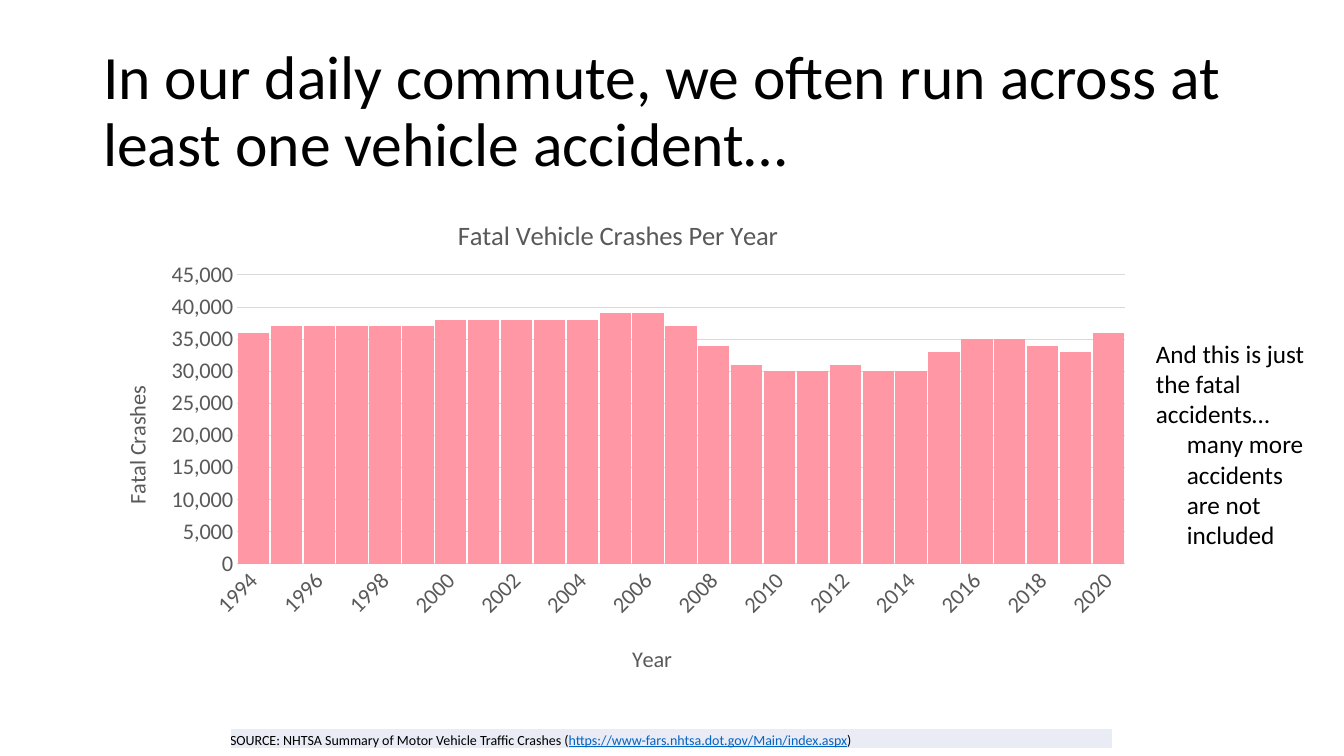
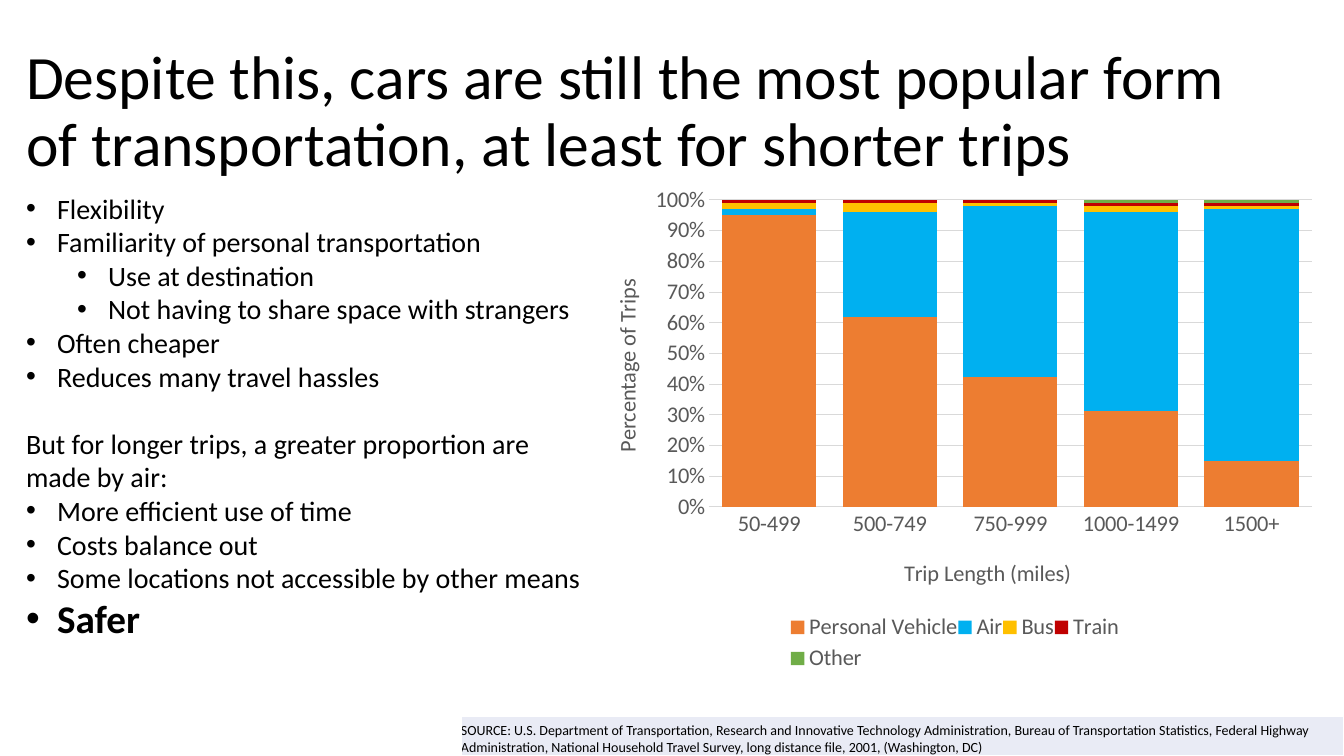
from dataclasses import dataclass
from typing import NamedTuple, Optional

from lxml.etree import SubElement
from pptx import Presentation
from pptx.chart.data import CategoryChartData
from pptx.dml.color import RGBColor
from pptx.enum.chart import XL_CHART_TYPE, XL_LEGEND_POSITION, XL_TICK_MARK
from pptx.enum.text import MSO_ANCHOR, MSO_AUTO_SIZE, PP_ALIGN
from pptx.oxml import parse_xml
from pptx.oxml.ns import nsdecls, qn
from pptx.util import Emu, Pt

# Shared style
FONT = "Calibri"
COLORS = {
    "text": "000000", "axis": "595959", "grid": "D9D9D9", "link": "0563C1",
    "source": "E9EBF5", "border": "FFFFFF", "crashes": "FF97A5",
    "vehicle": "ED7D31", "air": "00B0F0", "bus": "FFC000",
    "train": "C00000", "other": "70AD47",
}
TITLE_ONLY, TITLE_AND_BODY = 5, 1
INDENT, NESTED_INDENT = 31, 82
SOURCE_WIDTH = 883


class Box(NamedTuple):
    left: int
    top: int
    width: int
    height: int


class Point(NamedTuple):
    left: int
    top: int


class Series(NamedTuple):
    name: str
    values: list[int]
    color: str


class Item(NamedTuple):
    text: str
    level: int = 0
    bullet: bool = True
    size: int = 20
    bold: bool = False
    before: int = 0


class Span(NamedTuple):
    text: str
    link: bool = False


@dataclass
class ColumnChart:
    kind: XL_CHART_TYPE
    box: Box
    plot: Box
    categories: list[str]
    series: list[Series]
    category_title: str
    category_title_at: Point
    value_title: str
    value_title_at: Point
    number_format: str
    maximum: float
    step: float
    gap: int
    overlap: int
    title: str = ""
    title_at: Optional[Point] = None
    legend: Optional[Box] = None
    slanted: bool = False


def px(length: float) -> Emu:
    return Emu(round(length * 914400 / 100.8))


def color(name: str) -> RGBColor:
    return RGBColor.from_string(COLORS[name])


def style(font, size: float, tint: str = "text", bold: bool = False) -> None:
    font.name, font.size, font.bold = FONT, Pt(size), bold
    font.color.rgb = color(tint)


def place(shape, box: Box) -> None:
    shape.left, shape.top, shape.width, shape.height = map(px, box)


def indent(paragraph, margin: int, hanging: int = 0) -> None:
    properties = paragraph._p.get_or_add_pPr()
    properties.set("marL", str(px(margin)))
    properties.set("indent", str(-px(hanging)))


# Text
def set_title(page, text: str, box: Box) -> None:
    title = page.shapes.title
    place(title, box)
    frame = title.text_frame
    frame.text = text
    frame.auto_size = MSO_AUTO_SIZE.NONE
    frame.vertical_anchor = MSO_ANCHOR.MIDDLE
    paragraph = frame.paragraphs[0]
    paragraph.alignment = PP_ALIGN.LEFT
    paragraph.line_spacing = 0.9
    style(paragraph.font, 44)


def set_list(page, items: list[Item], box: Box) -> None:
    body = page.placeholders[1]
    place(body, box)
    frame = body.text_frame
    frame.auto_size = MSO_AUTO_SIZE.NONE
    for index, item in enumerate(items):
        paragraph = frame.add_paragraph() if index else frame.paragraphs[0]
        paragraph.text = item.text
        paragraph.level = item.level
        paragraph.space_before = Pt(item.before)
        properties = paragraph._p.get_or_add_pPr()
        if item.bullet:
            indent(paragraph, NESTED_INDENT if item.level else INDENT, INDENT)
            SubElement(properties, qn("a:buFont")).set("typeface", "Arial")
            SubElement(properties, qn("a:buChar")).set("char", "•")
        else:
            indent(paragraph, 0)
            SubElement(properties, qn("a:buNone"))
        style(paragraph.font, item.size, bold=item.bold)


def add_note(page, lead: str, follow: str, box: Box) -> None:
    frame = page.shapes.add_textbox(*map(px, box)).text_frame
    frame.word_wrap = True
    frame.text = lead
    second = frame.add_paragraph()
    second.text = follow
    indent(second, INDENT)
    for paragraph in frame.paragraphs:
        style(paragraph.font, 18)


def add_source(page, spans: list[Span], at: Point, height: int) -> None:
    box = Box(at.left, at.top, SOURCE_WIDTH, height)
    table = page.shapes.add_table(1, 1, *map(px, box)).table
    table.first_row = table.horz_banding = False
    cell = table.cell(0, 0)
    cell.margin_left = cell.margin_right = cell.margin_top = cell.margin_bottom = 0
    cell.vertical_anchor = MSO_ANCHOR.BOTTOM
    cell.fill.solid()
    cell.fill.fore_color.rgb = color("source")
    for index, side in enumerate(("lnL", "lnR", "lnT", "lnB")):
        cell._tc.get_or_add_tcPr().insert(index, parse_xml(
            f'<a:{side} {nsdecls("a")} w="{Pt(1)}"><a:solidFill>'
            f'<a:srgbClr val="{COLORS["border"]}"/></a:solidFill></a:{side}>'))
    paragraph = cell.text_frame.paragraphs[0]
    style(paragraph.font, 10)
    for span in spans:
        run = paragraph.add_run()
        run.text = span.text
        if span.link:
            run.font.underline = True
            run.font.color.rgb = color("link")


# Charts
def set_layout(element, chart_box: Box, at: Point | Box) -> None:
    """Fix a chart part at a place given in slide px."""
    fractions = {"x": (at.left - chart_box.left) / chart_box.width,
                 "y": (at.top - chart_box.top) / chart_box.height}
    if isinstance(at, Box):
        fractions |= {"w": at.width / chart_box.width,
                      "h": at.height / chart_box.height}
    is_plot = element.tag == qn("c:plotArea")
    target = '<c:layoutTarget val="inner"/>' if is_plot else ""
    modes = "".join(f'<c:{key}Mode val="edge"/>' for key in "xy")
    sizes = "".join(f'<c:{key} val="{value:.4f}"/>' for key, value in fractions.items())
    layout = parse_xml(f'<c:layout {nsdecls("c")}><c:manualLayout>{target}{modes}'
                       f'{sizes}</c:manualLayout></c:layout>')
    for previous in element.findall(qn("c:layout")):
        element.remove(previous)
    overlay = element.find(qn("c:overlay"))
    if overlay is None:
        element.insert(0, layout)
    else:
        overlay.addprevious(layout)


def set_chart_title(title, text: str, size: float, chart_box: Box, at: Point,
                    upright: bool = False) -> None:
    frame = title.text_frame
    frame.text = text
    style(frame.paragraphs[0].font, size, "axis")
    if upright:
        frame._txBody.bodyPr.set("rot", "-5400000")
        frame._txBody.bodyPr.set("vert", "horz")
    set_layout(title._element, chart_box, at)


def add_column_chart(page, design: ColumnChart) -> None:
    data = CategoryChartData()
    data.categories = design.categories
    for series in design.series:
        data.add_series(series.name, series.values)
    chart = page.shapes.add_chart(design.kind, *map(px, design.box), data).chart
    style(chart.font, 16, "axis")
    chart.has_title = bool(design.title)
    if design.title:
        set_chart_title(chart.chart_title, design.title, 19, design.box, design.title_at)

    # Columns
    plot = chart.plots[0]
    plot.gap_width, plot.overlap, plot.vary_by_categories = design.gap, design.overlap, False
    for drawn, series in zip(plot.series, design.series):
        drawn.format.fill.solid()
        drawn.format.fill.fore_color.rgb = color(series.color)

    # Axes
    category, value = chart.category_axis, chart.value_axis
    for axis in (category, value):
        axis.major_tick_mark = axis.minor_tick_mark = XL_TICK_MARK.NONE
        style(axis.tick_labels.font, 16, "axis")
    set_chart_title(category.axis_title, design.category_title, 16, design.box,
                    design.category_title_at)
    set_chart_title(value.axis_title, design.value_title, 16, design.box,
                    design.value_title_at, upright=True)
    value.minimum_scale, value.maximum_scale, value.major_unit = 0, design.maximum, design.step
    value.tick_labels.number_format = design.number_format
    value.tick_labels.number_format_is_linked = False
    value.format.line.fill.background()
    for line in (category.format.line, value.major_gridlines.format.line):
        line.color.rgb = color("grid")
        line.width = Pt(0.75)
    if design.slanted:
        labels = chart.element.xpath(".//c:catAx/c:txPr/a:bodyPr")[0]
        labels.set("rot", "-2700000")
        labels.set("vert", "horz")

    chart.has_legend = design.legend is not None
    if design.legend:
        chart.legend.position = XL_LEGEND_POSITION.BOTTOM
        chart.legend.include_in_layout = False
        style(chart.legend.font, 16, "axis")
        set_layout(chart.legend._element, design.box, design.legend)
    set_layout(chart.element.xpath(".//c:plotArea")[0], design.box, design.plot)


# Slides
def add_crashes(deck) -> None:
    page = deck.slides.add_slide(deck.slide_layouts[TITLE_ONLY])
    set_title(page, "In our daily commute, we often run across at least one vehicle accident…",
              Box(93, 40, 1159, 146))
    add_source(page, [Span("SOURCE: NHTSA Summary of Motor Vehicle Traffic Crashes ("),
                      Span("https://www-fars.nhtsa.dot.gov/Main/index.aspx", link=True),
                      Span(")")], Point(230, 728), 21)
    thousands = [36, 37, 37, 37, 37, 37, 38, 38, 38, 38, 38, 39, 39, 37,
                 34, 31, 30, 30, 31, 30, 30, 33, 35, 35, 34, 33, 36]
    add_column_chart(page, ColumnChart(
        XL_CHART_TYPE.COLUMN_CLUSTERED, Box(93, 186, 1053, 504), Box(237, 275, 888, 289),
        [str(year) for year in range(1994, 2021)],
        [Series("Series 1", [count * 1000 for count in thousands], "crashes")],
        "Year", Point(628, 640), "Fatal Crashes", Point(118, 382),
        "#,##0", 45000, 5000, gap=5, overlap=-27,
        title="Fatal Vehicle Crashes Per Year", title_at=Point(453, 212), slanted=True))
    add_note(page, "And this is just the fatal accidents…",
             "many more accidents are not included", Box(1146, 333, 185, 224))


def add_trips(deck) -> None:
    page = deck.slides.add_slide(deck.slide_layouts[TITLE_AND_BODY])
    set_title(page, "Despite this, cars are still the most popular form of transportation, "
              "at least for shorter trips", Box(16, 40, 1235, 146))
    set_list(page, [
        Item("Flexibility"),
        Item("Familiarity of personal transportation"),
        Item("Use at destination", level=1),
        Item("Not having to share space with strangers", level=1),
        Item("Often cheaper"),
        Item("Reduces many travel hassles"),
        Item("But for longer trips, a greater proportion are made by air:",
             bullet=False, before=24),
        Item("More efficient use of time"),
        Item("Costs balance out"),
        Item("Some locations not accessible by other means"),
        Item("Safer", size=28, bold=True),
    ], Box(16, 186, 590, 465))
    add_source(page, [Span(
        "SOURCE: U.S. Department of Transportation, Research and Innovative Technology "
        "Administration, Bureau of Transportation Statistics, Federal Highway Administration, "
        "National Household Travel Survey, long distance file, 2001, (Washington, DC)")],
        Point(461, 716), 40)
    add_column_chart(page, ColumnChart(
        XL_CHART_TYPE.COLUMN_STACKED_100, Box(582, 176, 746, 501), Box(709, 200, 603, 307),
        ["50-499", "500-749", "750-999", "1000-1499", "1500+"],
        [Series("Personal Vehicle", [95, 62, 42, 32, 15], "vehicle"),
         Series("Air", [2, 34, 55, 66, 82], "air"),
         Series("Bus", [2, 3, 1, 2, 1], "bus"),
         Series("Train", [1, 1, 1, 1, 1], "train"),
         Series("Other", [0, 0, 0, 1, 1], "other")],
        "Trip Length (miles)", Point(900, 554), "Percentage of Trips", Point(608, 275),
        "0%", 1, 0.1, gap=28, overlap=100, legend=Box(790, 610, 330, 66)))


def main() -> None:
    deck = Presentation()
    deck.slide_width, deck.slide_height = px(1344), px(756)
    add_crashes(deck)
    add_trips(deck)
    deck.save("out.pptx")


if __name__ == "__main__":
    main()
